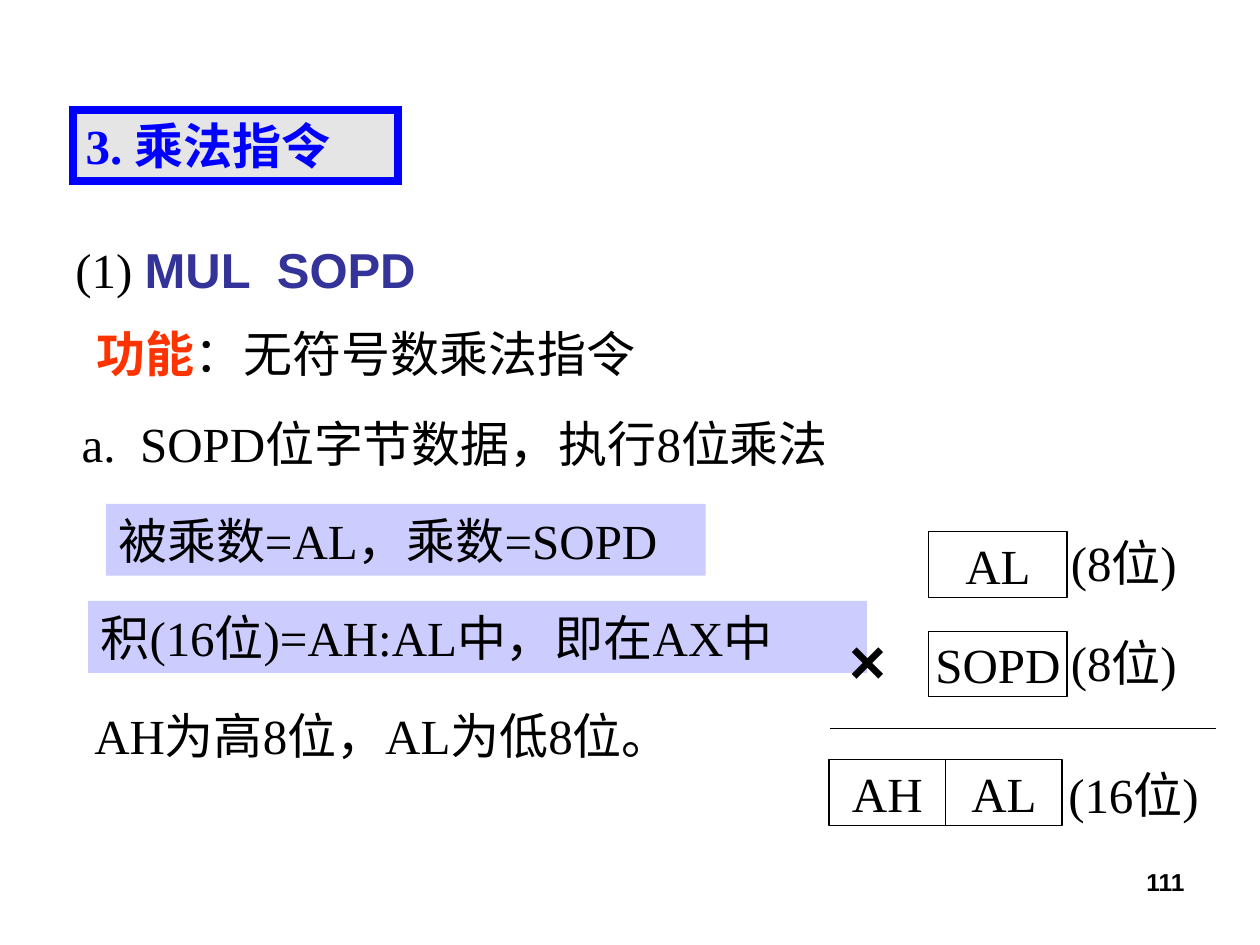
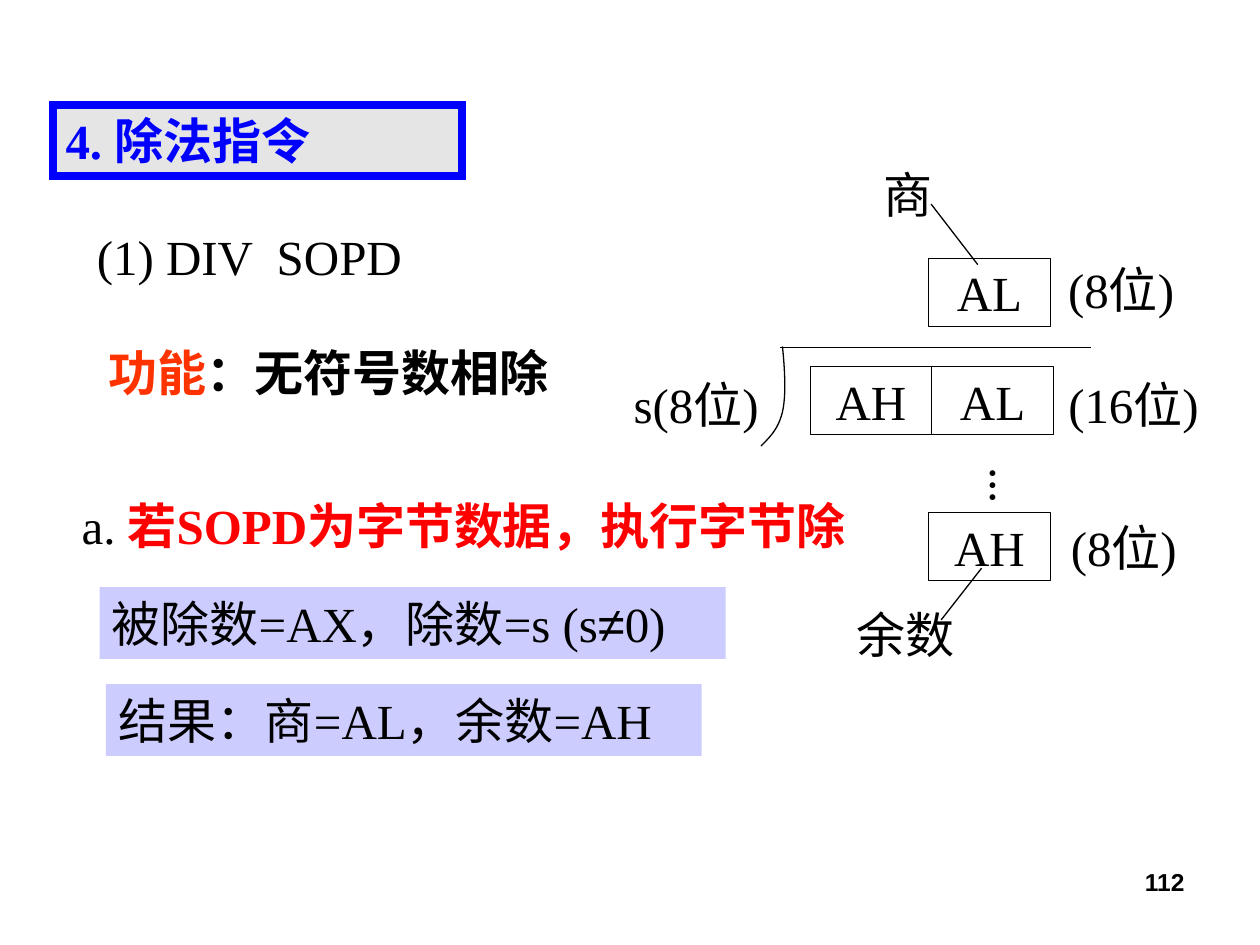
from dataclasses import dataclass

from lxml.etree import SubElement
from pptx import Presentation
from pptx.dml.color import RGBColor
from pptx.enum.shapes import MSO_CONNECTOR, MSO_SHAPE
from pptx.enum.text import MSO_ANCHOR, MSO_AUTO_SIZE, PP_ALIGN
from pptx.oxml.ns import qn
from pptx.util import Emu, Pt

PX = 9144  # one px is a hundredth of an inch
TITLE_ONLY = 5


@dataclass(frozen=True)
class Theme:
    ink: str = "000000"
    blue: str = "0000FF"
    mnemonic: str = "333399"
    label: str = "FF3300"
    alert: str = "FF0000"
    highlight: str = "CCCCFF"
    title_fill: str = "C0C0C0"
    title_opacity: int = 41
    serif: str = "Times New Roman"
    sans: str = "Arial"
    text_size: int = 28
    sign_size: int = 36
    number_size: int = 14
    thin: float = 0.75
    thick: float = 4.5
    line_height: int = 57


THEME = Theme()


def px(*lengths):
    return [Emu(round(length * PX)) for length in lengths]


def color(value):
    return RGBColor.from_string(value)


def apply(target, formats):
    for name, value in formats.items():
        setattr(target, name, value)


def write(shape, runs, align=PP_ALIGN.LEFT, margins=(10, 5), **frame_formats):
    """Fill a shape with one paragraph; a run is a text or (text, formats)."""
    frame = shape.text_frame
    horizontal, vertical = px(*margins)
    apply(frame, {
        "margin_left": horizontal, "margin_right": horizontal,
        "margin_top": vertical, "margin_bottom": vertical,
        "vertical_anchor": MSO_ANCHOR.TOP, "word_wrap": False,
        "auto_size": MSO_AUTO_SIZE.SHAPE_TO_FIT_TEXT, **frame_formats,
    })
    paragraph = frame.paragraphs[0]
    paragraph.alignment = align
    for item in [runs] if isinstance(runs, str) else runs:
        text, formats = (item, {}) if isinstance(item, str) else item
        formats = {"name": THEME.serif, "size": THEME.text_size,
                   "bold": False, "color": THEME.ink, **formats}
        run = paragraph.add_run()
        run.text = text
        run.font.color.rgb = color(formats.pop("color"))
        apply(run.font, {**formats, "size": Pt(formats["size"])})


def outline(shape, line_color=THEME.ink, width=THEME.thin):
    shape.line.color.rgb = color(line_color)
    shape.line.width = Pt(width)


def add_text(slide, left, top, width, runs, height=THEME.line_height, **formats):
    box = slide.shapes.add_textbox(*px(left, top, width, height))
    write(box, runs, **formats)
    return box


def add_statement(slide, left, top, width, runs, highlighted=False):
    box = add_text(slide, left, top, width, runs)
    if highlighted:
        box.fill.solid()
        box.fill.fore_color.rgb = color(THEME.highlight)


def add_registers(slide, left, top, width, height, *names):
    """Draw adjoining register cells in a row."""
    for index, name in enumerate(names):
        cell = slide.shapes.add_shape(
            MSO_SHAPE.RECTANGLE, *px(left + index * width, top, width, height))
        cell.shadow.inherit = False
        cell.fill.background()
        outline(cell)
        write(cell, name, PP_ALIGN.CENTER, vertical_anchor=MSO_ANCHOR.MIDDLE,
              auto_size=MSO_AUTO_SIZE.NONE)


def add_line(slide, *ends):
    line = slide.shapes.add_connector(MSO_CONNECTOR.STRAIGHT, *px(*ends))
    outline(line)
    SubElement(line._element.spPr, qn("a:effectLst"))


def add_curve(slide, *beziers):
    """Draw joined cubic curves, each given by its four points."""
    steps = 12
    points = []
    for a, b, c, d in beziers:
        for step in range(steps + 1):
            t = step / steps
            s = 1 - t
            points.append(px(*(
                s**3 * p + 3 * s * s * t * q + 3 * s * t * t * r + t**3 * e
                for p, q, r, e in zip(a, b, c, d))))
    builder = slide.shapes.build_freeform(*points[0])
    builder.add_line_segments(points[1:], close=False)
    curve = builder.convert_to_shape()
    curve.shadow.inherit = False
    curve.fill.background()
    outline(curve)


def add_title(slide, left, top, width, text):
    title = slide.shapes.title
    position = px(left, top, width, THEME.line_height)
    apply(title, dict(zip(("left", "top", "width", "height"), position)))
    title.fill.solid()
    title.fill.fore_color.rgb = color(THEME.title_fill)
    properties = title._element.spPr
    SubElement(properties.find(".//" + qn("a:srgbClr")), qn("a:alpha"),
               val=str(THEME.title_opacity * 1000))
    outline(title, THEME.blue, THEME.thick)
    SubElement(properties.find(qn("a:ln")), qn("a:miter"), lim="800000")
    write(title, [(text, {"bold": True, "color": THEME.blue})],
          word_wrap=True, auto_size=MSO_AUTO_SIZE.NONE)


def add_slide(presentation, number, title, statements):
    slide = presentation.slides.add_slide(
        presentation.slide_layouts[TITLE_ONLY])
    add_text(slide, 717, 683, 233,
             [(str(number), {"name": THEME.sans, "size": THEME.number_size,
                             "bold": True})],
             height=52, align=PP_ALIGN.RIGHT, word_wrap=True,
             auto_size=MSO_AUTO_SIZE.NONE)
    add_title(slide, *title)
    for statement in statements:
        add_statement(slide, *statement)
    return slide


def draw_multiplication(slide, left, top):
    cell_height = 52
    for row, operand in enumerate(("AL", "SOPD")):
        row_top = top + row * 79
        add_registers(slide, left + 79, row_top + 4, 110, cell_height, operand)
        add_text(slide, left + 182, row_top, 123, "(8位)")
    add_text(slide, left + 6, top + 70, 72,
             [("×", {"name": THEME.sans, "size": THEME.sign_size,
                     "bold": True})], height=70)
    add_line(slide, left + 1, top + 160, left + 307, top + 160)
    add_registers(slide, left, top + 185, 92.5, cell_height, "AH", "AL")
    add_text(slide, left + 180, top + 184, 142, "(16位)")


def draw_division(slide, left, top):
    def point(x, y):
        return left + x, top + y

    cell = (96.5, 54)
    add_registers(slide, *point(244, 79), *cell, "AL")
    add_registers(slide, *point(150, 165), *cell, "AH", "AL")
    add_registers(slide, *point(244, 281), *cell, "AH")
    labels = [
        (345, 75, 123, "(8位)"),
        (345, 166, 142, "(16位)"),
        (347, 280, 123, "(8位)"),
        (0, 166, 138, "s(8位)"),
        (198, 0, 59, "商"),
        (177, 349, 99, "余数"),
    ]
    for x, y, width, text in labels:
        add_text(slide, *point(x, y), width, text)
    dots = add_text(slide, *point(271, 235), 66, "...", height=39,
                    margins=(5, 10))
    dots.text_frame._txBody.bodyPr.set("vert", "eaVert")
    lines = [
        ((126, 150), (373, 150)),
        ((283, 84), (246, 36)),
        ((286, 325), (254, 366)),
    ]
    for start, end in lines:
        add_line(slide, *point(*start), *point(*end))
    bend = point(128, 201)
    add_curve(slide,
              (point(128, 149), point(130, 168), point(131, 188), bend),
              (bend, point(125, 214), point(118, 221), point(111, 228)))


def main():
    presentation = Presentation()
    presentation.slide_width, presentation.slide_height = px(1000, 750)
    heading = ("功能", {"bold": True, "color": THEME.label})

    multiplication = add_slide(
        presentation, 111, (58, 87, 258, "3. 乘法指令"), [
            (50, 185, 291, ["(1) ", ("MUL  SOPD", {
                "name": THEME.sans, "bold": True, "color": THEME.mnemonic})]),
            (67, 252, 447, [heading, "：无符号数乘法指令"]),
            (55, 323, 640, "a.  SOPD位字节数据，执行8位乘法"),
            (84, 400, 476, "被乘数=AL，乘数=SOPD", True),
            (70, 477, 618, "积(16位)=AH:AL中，即在AX中", True),
            (65, 555, 542, "AH为高8位，AL为低8位。"),
        ])
    draw_multiplication(multiplication, 658, 418)

    division = add_slide(
        presentation, 112, (42, 83, 325, "4. 除法指令"), [
            (67, 175, 262, "(1) DIV  SOPD"),
            (76, 267, 371, [heading, ("：无符号数相除", {"bold": True})]),
            (55, 388, 663, ["a. ", ("若SOPD为字节数据，执行字节除", {
                "bold": True, "color": THEME.alert})]),
            (79, 466, 497, ["被除数=AX，除数=s (s",
                            ("≠", {"name": THEME.sans}), "0)"], True),
            (84, 543, 473, "结果：商=AL，余数=AH", True),
        ])
    draw_division(division, 493, 126)

    presentation.save("out.pptx")


if __name__ == "__main__":
    main()
